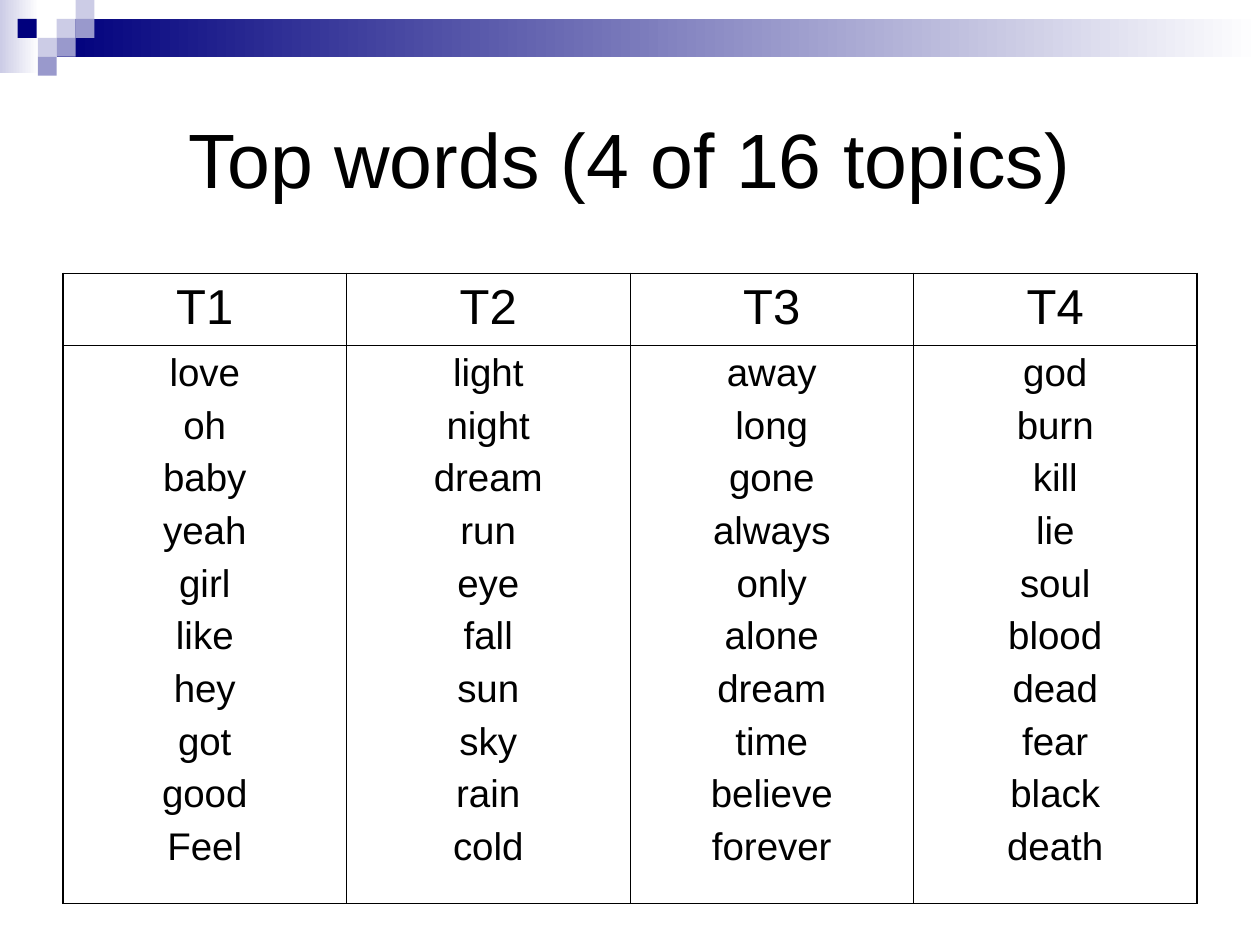
import pptx
import pptx.dml.color
import pptx.enum.shapes
import pptx.enum.text
import pptx.oxml
import pptx.oxml.ns
import pptx.util

PX = 9144  # one px is a hundredth of an inch

theme = {
    "font": "Arial",
    "ink": "000000",
    "navy": "00007D",
    "mid": "9999CC",
    "pale": "CCCCE6",
    "white": "FFFFFF",
    "title": 44,
    "head": 28,
    "body": 22,
    "thick": 1.08,
    "thin": 0.45,
}

topics = {
    "T1": "love oh baby yeah girl like hey got good Feel",
    "T2": "light night dream run eye fall sun sky rain cold",
    "T3": "away long gone always only alone dream time believe forever",
    "T4": "god burn kill lie soul blood dead fear black death",
}


def rgb(name):
    return pptx.dml.color.RGBColor.from_string(theme[name])


def write(frame, text, size="body", gap=0, anchor="TOP"):
    """Fill a text frame with one centred paragraph per line."""
    frame.text = text
    frame.word_wrap = True
    frame.vertical_anchor = getattr(pptx.enum.text.MSO_ANCHOR, anchor)
    for para in frame.paragraphs:
        para.alignment = pptx.enum.text.PP_ALIGN.CENTER
        para.space_before = pptx.util.Pt(gap)
        for run in para.runs:
            run.font.name = theme["font"]
            run.font.size = pptx.util.Pt(theme[size])
            run.font.color.rgb = rgb("ink")


deck = pptx.Presentation()
deck.slide_width = 1000 * PX
deck.slide_height = 750 * PX
slide = deck.slides.add_slide(deck.slide_layouts[5])

# Header bars and squares: left, top, width, height, colours
blocks = [
    (0, 0, 31, 58, ("pale", "white")),
    (45, 15, 955, 30, ("navy", "white")),
    (45, 15, 15, 15, ("pale",)),
    (60, 0, 15, 15, ("pale",)),
    (60, 15, 15, 15, ("mid",)),
    (30, 30, 15, 15, ("pale",)),
    (14, 15, 15, 15, ("navy",)),
    (45, 30, 15, 15, ("mid",)),
    (30, 45, 15, 15, ("mid",)),
]
for *box, tints in blocks:
    block = slide.shapes.add_shape(
        pptx.enum.shapes.MSO_SHAPE.RECTANGLE, *[n * PX for n in box])
    block.shadow.inherit = False
    block.line.fill.background()
    if len(tints) == 2:
        block.fill.gradient()
        block.fill.gradient_angle = 0
        for stop, tint in zip(block.fill.gradient_stops, tints):
            stop.color.rgb = rgb(tint)
    else:
        block.fill.solid()
        block.fill.fore_color.rgb = rgb(tints[0])

# Title
title = slide.shapes.title
title.left, title.top, title.width, title.height = [
    n * PX for n in (50, 50, 900, 150)]
write(title.text_frame, "Top words (4 of 16 topics)", size="title", anchor="MIDDLE")

# Table of topics
frame = slide.shapes.add_table(
    2, len(topics), 50 * PX, 217 * PX, 900 * PX, 500 * PX)
table = frame.table
table.first_row = False
table.horz_banding = False
table.rows[0].height = 57 * PX
table.rows[1].height = 443 * PX
last = len(topics) - 1

for col, (head, words) in enumerate(topics.items()):
    table.columns[col].width = 225 * PX
    write(table.cell(0, col).text_frame, head, size="head", gap=7)
    write(table.cell(1, col).text_frame, "\n".join(words.split()), gap=5.5)

    # Thick outer edges, thin inner ones
    for row in range(2):
        cell = table.cell(row, col)
        props = cell._tc.get_or_add_tcPr()
        edges = {"L": col == 0, "R": col == last, "T": row == 0, "B": row == 1}
        for side, outer in edges.items():
            width = pptx.util.Pt(theme["thick" if outer else "thin"])
            props.append(pptx.oxml.parse_xml(
                f'<a:ln{side} {pptx.oxml.ns.nsdecls("a")} w="{int(width)}">'
                f'<a:solidFill><a:srgbClr val="{theme["ink"]}"/></a:solidFill>'
                f'</a:ln{side}>'))
        cell.fill.background()

deck.save("out.pptx")
